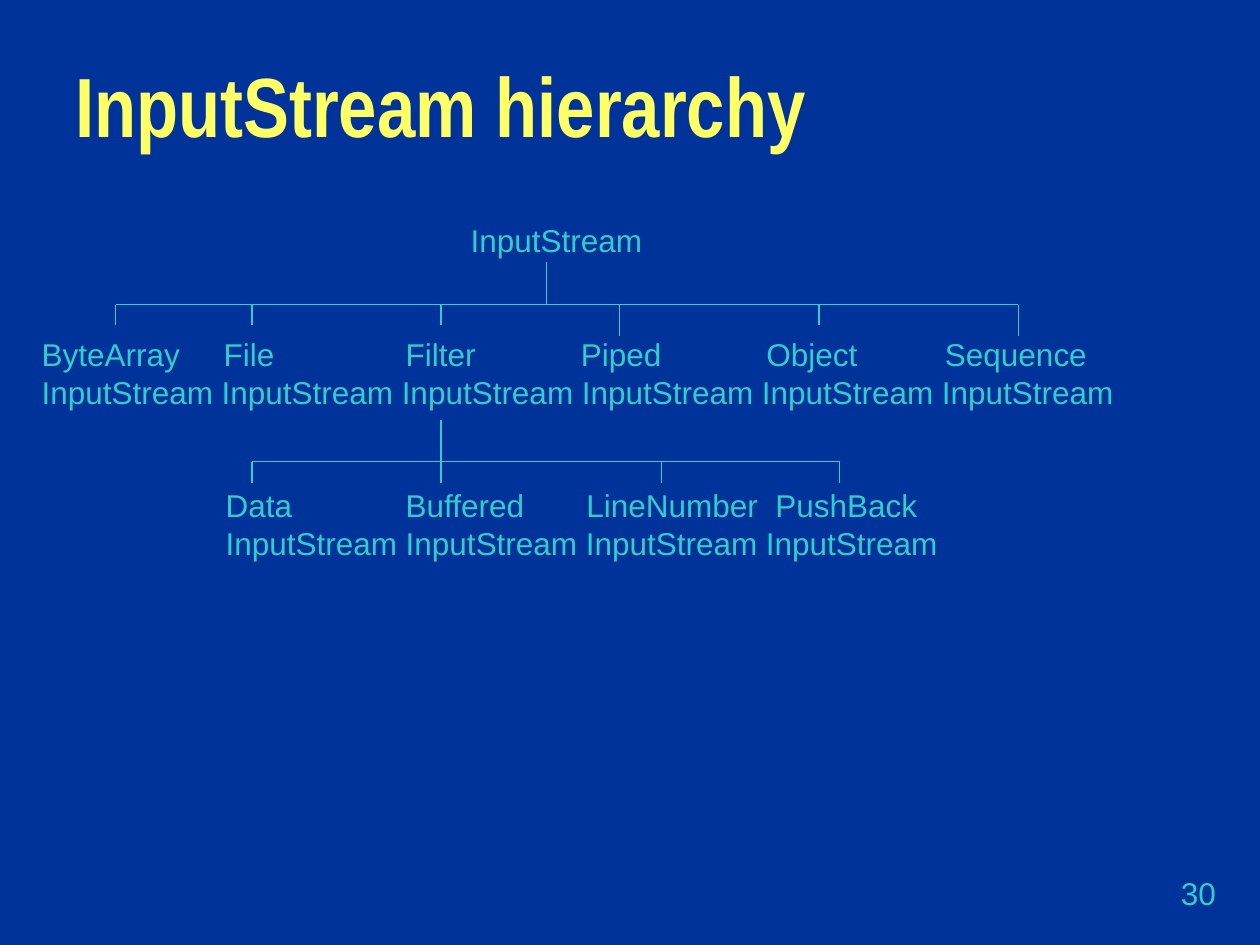
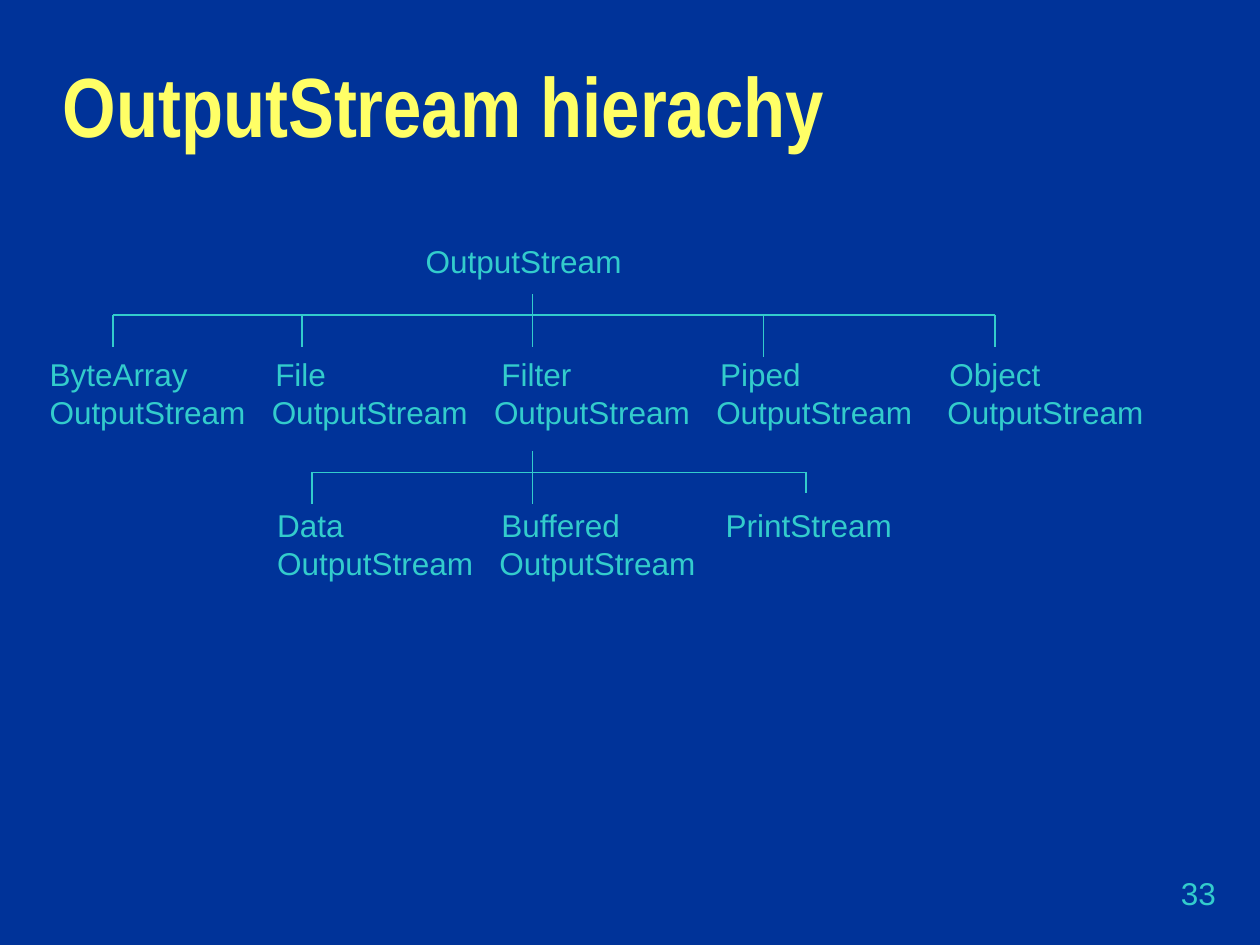
from dataclasses import dataclass

from lxml.etree import SubElement
from pptx import Presentation
from pptx.dml.color import RGBColor
from pptx.enum.shapes import MSO_CONNECTOR
from pptx.enum.text import MSO_ANCHOR, PP_ALIGN
from pptx.oxml.ns import qn
from pptx.util import Cm, Pt


@dataclass(frozen=True)
class Theme:
    """Colours, fonts and type sizes shared by the slides."""

    background: RGBColor = RGBColor(0x00, 0x33, 0x99)
    title: RGBColor = RGBColor(0xFF, 0xFF, 0x66)
    body: RGBColor = RGBColor(0x33, 0xCC, 0xCC)
    title_font: str = "Arial Narrow"
    body_font: str = "Arial"
    title_size: int = 48
    body_size: int = 18
    line_pitch: float = 21.6
    line_width: float = 0.75


THEME = Theme()


@dataclass(frozen=True)
class Branch:
    """A parent's trunk, the bar below it and (x, length) drops to its children."""

    trunk: float
    bar: float
    rise: float
    drops: tuple


@dataclass(frozen=True)
class Hierarchy:
    """One class tree; lengths are centimetres within its box."""

    title: str
    title_left: float
    number: str
    box: tuple
    root: str
    root_indent: float
    subclasses: tuple
    subclass_stops: tuple
    filters: tuple
    filter_stops: tuple
    suffix_pitch: float
    last_shift: float
    branches: tuple


HIERARCHIES = (
    Hierarchy(
        title="InputStream hierarchy", title_left=1.27, number="30",
        box=(0.59, 4.34, 23, 7.11),
        root="InputStream", root_indent=8.65,
        subclasses=("ByteArray", "File", "Filter", "Piped", "Object", "Sequence"),
        subclass_stops=(3.67, 7.34, 10.87, 14.61, 18.21),
        filters=("Data", "Buffered", "LineNumber", "PushBack"),
        filter_stops=(3.71, 7.34, 10.98, 14.79),
        suffix_pitch=3.63, last_shift=0,
        branches=(
            Branch(10.42, 1.8, 0.85, ((1.74, 0.42), (4.49, 0.42), (8.3, 0.42),
                                      (11.9, 0.64), (15.92, 0.42), (19.94, 0.64))),
            Branch(8.3, 4.97, 0.85, ((4.49, 0.42), (8.3, 0.42),
                                     (12.75, 0.42), (16.34, 0.42))),
        ),
    ),
    Hierarchy(
        title="OutputStream hierachy", title_left=1.02, number="33",
        box=(0.75, 4.75, 23, 7.11),
        root="OutputStream", root_indent=7.58,
        subclasses=("ByteArray", "File", "Filter", "Piped", "Object"),
        subclass_stops=(4.55, 9.11, 13.52, 18.14),
        filters=("Data", "Buffered", "PrintStream"),
        filter_stops=(4.59, 9.11, 13.63),
        suffix_pitch=4.48, last_shift=0.18,
        branches=(
            Branch(9.99, 1.6, 0.42, ((1.53, 0.64), (5.34, 0.64), (9.99, 0.64),
                                     (14.64, 0.85), (19.31, 0.64))),
            Branch(9.99, 4.77, 0.42, ((5.54, 0.64), (9.99, 0.64), (15.5, 0.42))),
        ),
    ),
)


def add_text_frame(slide, left, top, width, height):
    """Add a wrapping text box and return its text frame."""
    frame = slide.shapes.add_textbox(Cm(left), Cm(top), Cm(width), Cm(height)).text_frame
    frame.word_wrap = True
    return frame


def style_body(paragraph):
    """Apply the body font to every run of a paragraph."""
    for run in paragraph.runs:
        run.font.name = THEME.body_font
        run.font.size = Pt(THEME.body_size)
        run.font.color.rgb = THEME.body


def add_title(slide, title, left):
    """Place the slide title."""
    frame = add_text_frame(slide, left, 0.76, 22.86, 3.18)
    frame.vertical_anchor = MSO_ANCHOR.MIDDLE
    heading = frame.paragraphs[0]
    heading.text = title
    heading.line_spacing = 0.7
    font = heading.runs[0].font
    font.name = THEME.title_font
    font.size = Pt(THEME.title_size)
    font.bold = True
    font.color.rgb = THEME.title


def add_number(slide, number):
    """Place the slide number at the lower right."""
    frame = add_text_frame(slide, 19.48, 17.36, 5.28, 1.27)
    frame.vertical_anchor = MSO_ANCHOR.MIDDLE
    page = frame.paragraphs[0]
    page.text = number
    page.alignment = PP_ALIGN.RIGHT
    style_body(page)


def set_tab_stops(paragraph, stops):
    """Give a paragraph left tab stops at the given centimetres."""
    tabs = SubElement(paragraph._p.get_or_add_pPr(), qn("a:tabLst"))
    for stop in stops:
        SubElement(tabs, qn("a:tab"), pos=str(int(Cm(stop))), algn="l")


def add_class_names(slide, tree):
    """Write the three levels of class names in tabbed columns."""
    frame = add_text_frame(slide, *tree.box)
    suffixed = [name for name in tree.filters if not name.endswith("Stream")]
    suffix_stops = [tree.suffix_pitch * i for i in range(1, len(tree.subclasses))]
    suffix_stops[-1] += tree.last_shift
    filter_suffix_stops = [
        tree.filter_stops[0] + tree.suffix_pitch * i for i in range(len(suffixed))
    ]
    level_gap = 2 * THEME.line_pitch
    lines = (
        ("\t" + tree.root, [tree.root_indent], 0),
        ("\t".join(tree.subclasses), tree.subclass_stops, level_gap),
        ("\t".join([tree.root] * len(tree.subclasses)), suffix_stops, 0),
        ("\t" + "\t".join(tree.filters), tree.filter_stops, level_gap),
        ("\t" + "\t".join([tree.root] * len(suffixed)), filter_suffix_stops, 0),
    )
    for index, (names, stops, gap) in enumerate(lines):
        level = frame.add_paragraph() if index else frame.paragraphs[0]
        level.text = names
        set_tab_stops(level, stops)
        level.line_spacing = Pt(THEME.line_pitch)
        if gap:
            level.space_before = Pt(gap)
        style_body(level)


def add_line(slide, box, start, end):
    """Draw a thin line between two points of a box."""
    left, top = box[:2]
    line = slide.shapes.add_connector(
        MSO_CONNECTOR.STRAIGHT,
        Cm(left + start[0]), Cm(top + start[1]), Cm(left + end[0]), Cm(top + end[1]),
    )
    line.line.color.rgb = THEME.body
    line.line.width = Pt(THEME.line_width)
    SubElement(line._element.spPr, qn("a:effectLst"))


def add_branch(slide, box, branch):
    """Draw a trunk, its bar and the drops to the children."""
    bar = branch.bar
    add_line(slide, box, (branch.drops[0][0], bar), (branch.drops[-1][0], bar))
    add_line(slide, box, (branch.trunk, bar - branch.rise), (branch.trunk, bar))
    for x, length in branch.drops:
        add_line(slide, box, (x, bar), (x, bar + length))


def add_hierarchy_slide(deck, tree):
    """Build one class hierarchy slide."""
    slide = deck.slides.add_slide(deck.slide_layouts[6])
    add_number(slide, tree.number)
    add_title(slide, tree.title, tree.title_left)
    add_class_names(slide, tree)
    for branch in tree.branches:
        add_branch(slide, tree.box, branch)


def main():
    """Build and save the deck."""
    deck = Presentation()
    deck.slide_width, deck.slide_height = Cm(25.4), Cm(19.05)
    backdrop = deck.slide_master.background.fill
    backdrop.solid()
    backdrop.fore_color.rgb = THEME.background
    for tree in HIERARCHIES:
        add_hierarchy_slide(deck, tree)
    deck.save("out.pptx")


if __name__ == "__main__":
    main()
